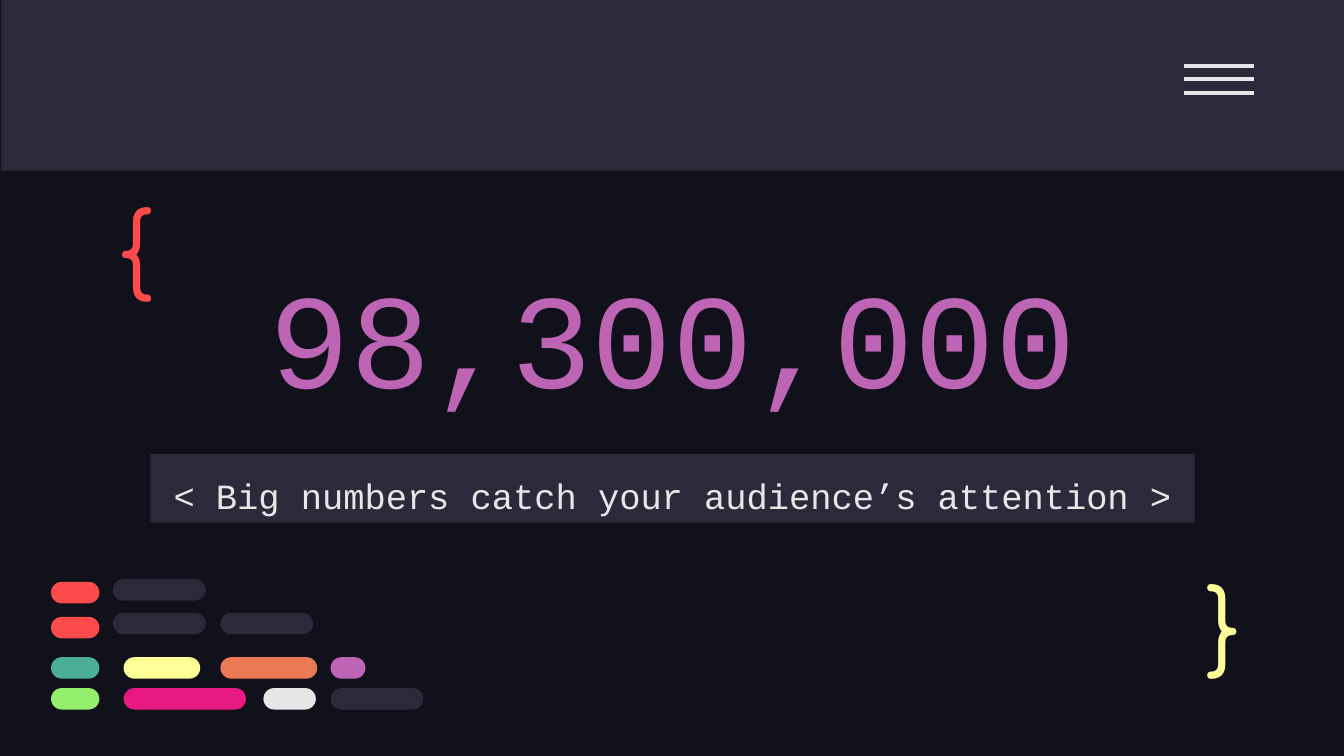
from lxml import etree
from pptx import Presentation
from pptx import util as u
from pptx.dml.color import RGBColor
from pptx.enum import shapes, text
from pptx.oxml.ns import qn

COLORS = {
    "night": "10111A", "panel": "2C293A", "light": "E7E7E7", "purple": "BD64B5",
    "red": "FD4A4A", "teal": "4CAE97", "yellow": "FFFF99", "orange": "EC7955",
    "green": "94EE6B", "pink": "E81A81",
}
CODE_ROWS = [
    (4.33, [(0.38, 0.36, "red")]),
    (4.59, [(0.38, 0.36, "red")]),
    (4.89, [(0.38, 0.36, "teal"), (0.92, 0.57, "yellow"),
            (1.64, 0.72, "orange"), (2.46, 0.26, "purple")]),
    (5.12, [(0.38, 0.36, "green"), (0.92, 0.91, "pink"),
            (1.96, 0.39, "light"), (2.46, 0.69, "panel")]),
    (4.56, [(0.84, 0.69, "panel"), (1.64, 0.69, "panel")]),
    (4.31, [(0.84, 0.69, "panel")]),
]


class Deck:
    """Draws styled elements on the current slide."""

    def __init__(self, width, height):
        self.prs = Presentation()
        self.prs.slide_width = u.Inches(width)
        self.prs.slide_height = u.Inches(height)
        self.s = None

    def color(self, name):
        return RGBColor.from_string(COLORS[name])

    def paint(self, fill, name):
        fill.solid()
        fill.fore_color.rgb = self.color(name)

    def slide(self, background):
        self.s = self.prs.slides.add_slide(self.prs.slide_layouts[6])
        self.paint(self.s.background.fill, background)

    def shape(self, kind, box, fill):
        sp = self.s.shapes.add_shape(kind, *map(u.Inches, box))
        sp.shadow.inherit = False
        self.paint(sp.fill, fill)
        sp.line.fill.background()
        return sp

    def pill(self, box, fill):
        self.shape(shapes.MSO_SHAPE.ROUNDED_RECTANGLE, box, fill).adjustments[0] = 0.5

    def line(self, x1, y1, x2, y2, color, width):
        ends = map(u.Inches, (x1, y1, x2, y2))
        sp = self.s.shapes.add_connector(shapes.MSO_CONNECTOR.STRAIGHT, *ends)
        sp.line.color.rgb = self.color(color)
        sp.line.width = u.Pt(width)
        etree.SubElement(sp.element.spPr, qn("a:effectLst"))

    def text(self, box, words, size, color, font="Courier New", fill=None,
             anchor=text.MSO_ANCHOR.TOP, **paragraph):
        sp = self.s.shapes.add_textbox(*map(u.Inches, box))
        if fill:
            self.paint(sp.fill, fill)
        tf = sp.text_frame
        frame = {"word_wrap": True, "vertical_anchor": anchor}
        frame.update({f"margin_{side}": u.Inches(0.1)
                      for side in ("left", "top", "right", "bottom")})
        p = tf.paragraphs[0]
        r = p.add_run()
        r.text = words
        r.font.color.rgb = self.color(color)
        for target, values in ((tf, frame), (p, paragraph),
                               (r.font, {"size": u.Pt(size), "name": font})):
            for key, value in values.items():
                setattr(target, key, value)


def main():
    deck = Deck(10, 10 * 9 / 16)
    deck.slide("night")
    deck.shape(shapes.MSO_SHAPE.RECTANGLE, (0.01, 0, 10, 1.27), "panel")
    for i in range(3):
        y = 0.49 + 0.1 * i
        deck.line(8.81, y, 9.33, y, "light", 2.25)

    center = text.PP_ALIGN.CENTER
    deck.text((1.12, 1.46, 7.77, 1.73), "98,300,000", 72, "purple",
              anchor=text.MSO_ANCHOR.BOTTOM, alignment=center)
    deck.text((1.12, 3.38, 7.77, 0.51),
              "< Big numbers catch your audience’s attention >", 19, "light",
              fill="panel", alignment=center, line_spacing=1.15)

    for top, pills in CODE_ROWS:
        for left, width, color in pills:
            deck.pill((left, top, width, 0.16), color)

    deck.text((0.78, 1.29, 0.77, 0.95), "{", 50, "red", "Comfortaa")
    deck.text((8.88, 4.2, 0.57, 0.83), "}", 50, "yellow", "Comfortaa",
              anchor=text.MSO_ANCHOR.MIDDLE)
    deck.prs.save("out.pptx")


if __name__ == "__main__":
    main()
